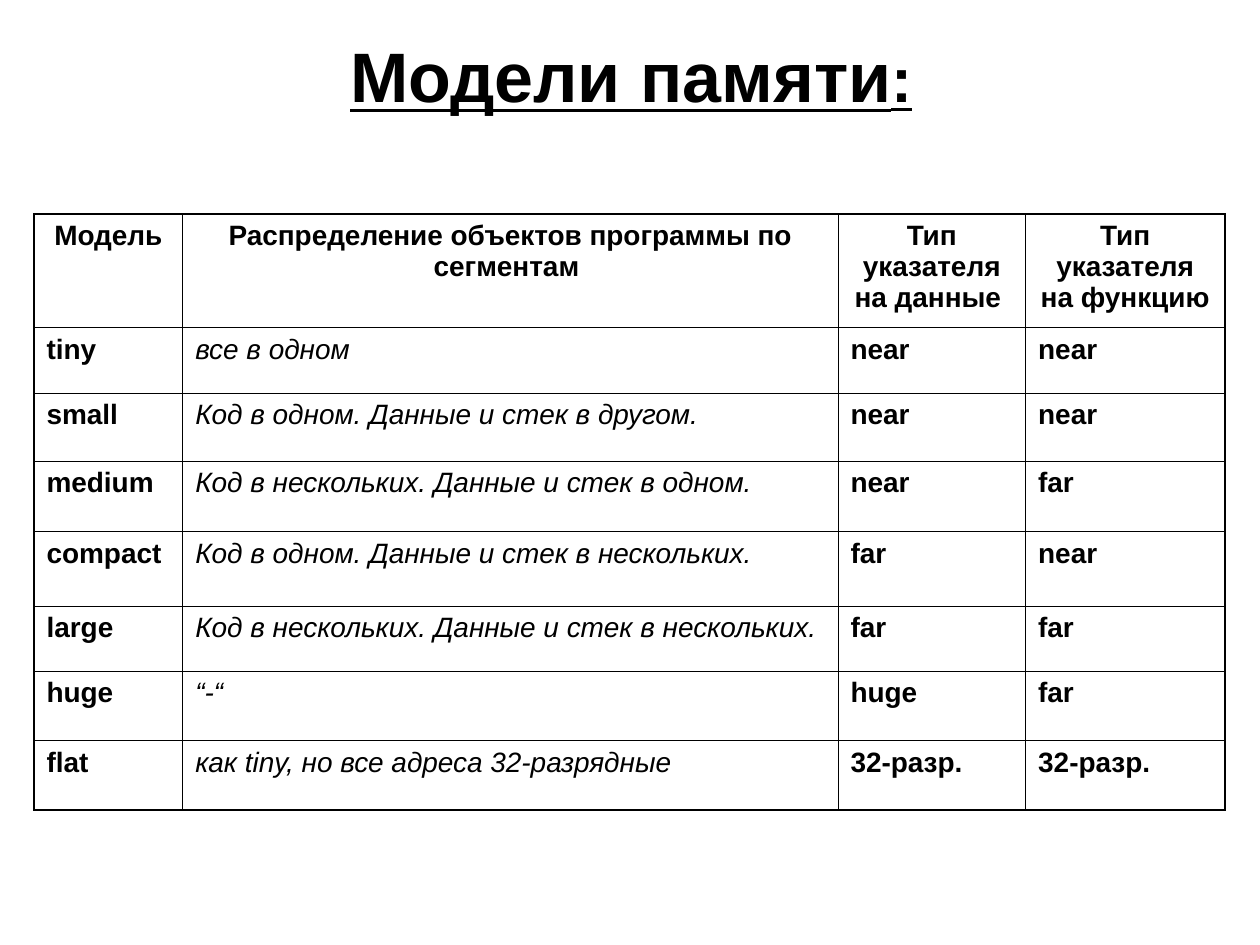
from dataclasses import dataclass

from lxml import etree
from pptx import Presentation
from pptx.dml.color import RGBColor
from pptx.enum.text import MSO_ANCHOR, MSO_AUTO_SIZE, PP_ALIGN
from pptx.oxml.ns import qn
from pptx.util import Inches, Pt

CENTER, LEFT = PP_ALIGN.CENTER, PP_ALIGN.LEFT
TOP, MIDDLE = MSO_ANCHOR.TOP, MSO_ANCHOR.MIDDLE
NO_AUTOFIT = MSO_AUTO_SIZE.NONE
TITLE_ONLY_LAYOUT = 5


@dataclass(frozen=True)
class Theme:
    font: str = "Arial"
    ink: str = "000000"
    title_size: float = 40
    colon_size: float = 36
    table_size: float = 16
    space_before: float = 4
    inner_line: float = 0.45
    outer_line: float = 1.08


THEME = Theme()

TITLE_BOX = (0.51, 0.13, 9, 0.93)
TABLE_BOX = (0.27, 1.7, 9.45, 4.72)
COLUMN_WIDTHS = (1.18, 5.2, 1.49, 1.58)
ROW_HEIGHTS = (0.9, 0.52, 0.54, 0.56, 0.59, 0.52, 0.55, 0.55)
DESCRIPTION_COLUMN = 1
MEMORY_MODELS = (
    (
        "Модель",
        "Распределение объектов программы по сегментам ",
        "Тип указателя на данные ",
        "Тип указателя на функцию",
    ),
    ("tiny", "все в одном", "near", "near"),
    ("small", "Код в одном. Данные и стек в другом.", "near", "near"),
    ("medium", "Код в нескольких. Данные и стек в одном.", "near", "far"),
    ("compact", "Код в одном. Данные и стек в нескольких.", "far", "near"),
    ("large", "Код в нескольких. Данные и стек в нескольких.", "far", "far"),
    ("huge", "“-“", "huge", "far"),
    ("flat", "как tiny, но все адреса 32-разрядные", "32-разр.", "32-разр."),
)


def set_attributes(target, values):
    for name, value in values.items():
        setattr(target, name, value)


def add_run(paragraph, text, size, **styles):
    run = paragraph.add_run()
    run.text = text
    set_attributes(run.font, {"name": THEME.font, "size": Pt(size), **styles})
    run.font.color.rgb = RGBColor.from_string(THEME.ink)


def add_border(cell, side, width):
    properties = cell._tc.get_or_add_tcPr()
    line = etree.SubElement(properties, qn(f"a:ln{side}"), w=str(Pt(width)))
    fill = etree.SubElement(line, qn("a:solidFill"))
    etree.SubElement(fill, qn("a:srgbClr"), val=THEME.ink)


def build_title(slide, box):
    left, top, width, height = map(Inches, box)
    title = slide.shapes.title
    set_attributes(title, {"left": left, "top": top, "width": width, "height": height})
    set_attributes(
        title.text_frame,
        {"word_wrap": True, "auto_size": NO_AUTOFIT, "vertical_anchor": MIDDLE},
    )
    paragraph = title.text_frame.paragraphs[0]
    paragraph.alignment = CENTER
    add_run(paragraph, "Модели памяти", THEME.title_size, bold=True, underline=True)
    add_run(paragraph, ":", THEME.colon_size, bold=True, underline=True)


def fill_cell(cell, text, is_header, is_description):
    set_attributes(
        cell,
        {
            "margin_left": Inches(0.1),
            "margin_right": Inches(0.1),
            "margin_top": Inches(0.05),
            "margin_bottom": Inches(0.05),
            "vertical_anchor": TOP,
        },
    )
    paragraph = cell.text_frame.paragraphs[0]
    set_attributes(
        paragraph,
        {
            "alignment": CENTER if is_header else LEFT,
            "space_before": Pt(THEME.space_before),
        },
    )
    italic = is_description and not is_header
    add_run(paragraph, text, THEME.table_size, bold=not italic, italic=italic)


def build_model_table(slide, box):
    last_row, last_column = len(ROW_HEIGHTS) - 1, len(COLUMN_WIDTHS) - 1
    frame = slide.shapes.add_table(last_row + 1, last_column + 1, *map(Inches, box))
    table = frame.table
    set_attributes(table, {"first_row": False, "horz_banding": False})
    for column, width in zip(table.columns, COLUMN_WIDTHS):
        column.width = Inches(width)
    for row, height in zip(table.rows, ROW_HEIGHTS):
        row.height = Inches(height)
    for row_index, texts in enumerate(MEMORY_MODELS):
        for column_index, text in enumerate(texts):
            cell = table.cell(row_index, column_index)
            is_description = column_index == DESCRIPTION_COLUMN
            fill_cell(cell, text, row_index == 0, is_description)
            outer_sides = {
                "L": column_index == 0,
                "R": column_index == last_column,
                "T": row_index == 0,
                "B": row_index == last_row,
            }
            for side, is_outer in outer_sides.items():
                width = THEME.outer_line if is_outer else THEME.inner_line
                add_border(cell, side, width)
            cell.fill.background()


def main():
    presentation = Presentation()
    set_attributes(
        presentation, {"slide_width": Inches(10), "slide_height": Inches(7.5)}
    )
    layout = presentation.slide_layouts[TITLE_ONLY_LAYOUT]
    slide = presentation.slides.add_slide(layout)
    build_title(slide, TITLE_BOX)
    build_model_table(slide, TABLE_BOX)
    presentation.save("out.pptx")


if __name__ == "__main__":
    main()
